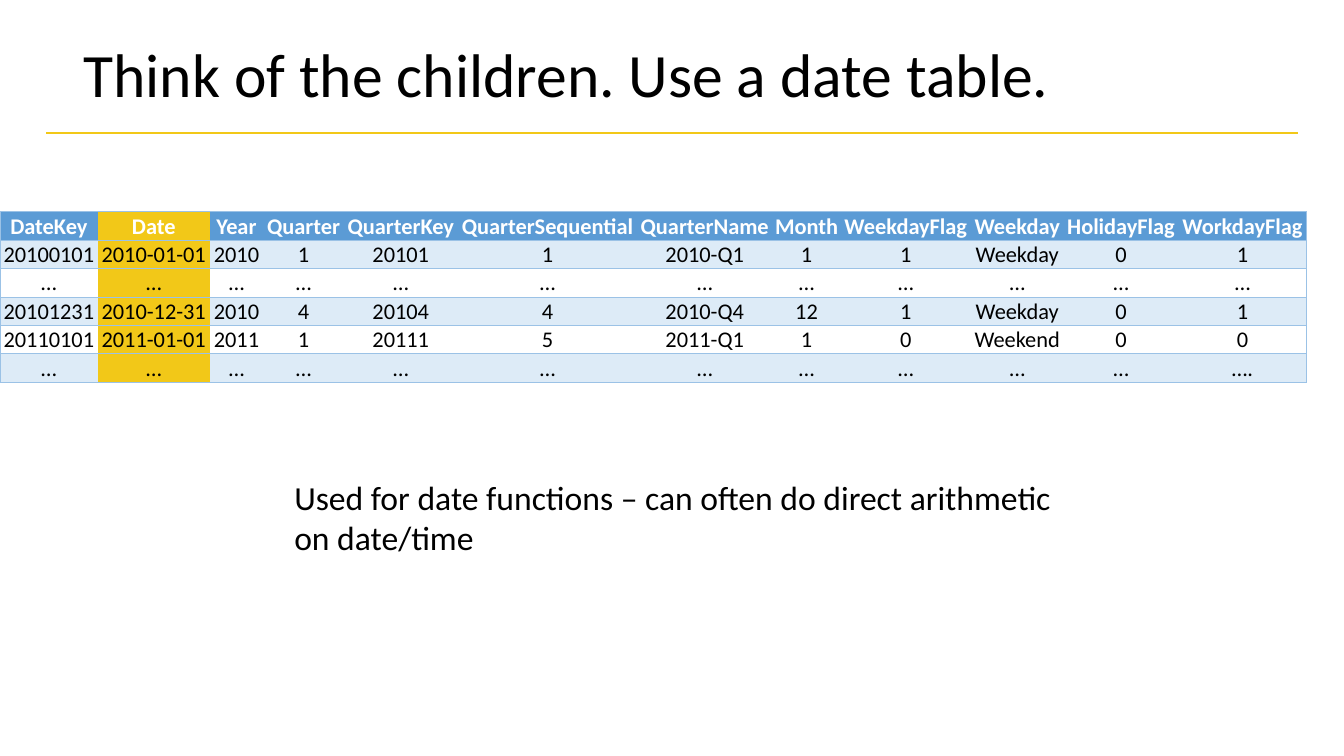
from dataclasses import dataclass

from lxml import etree
from pptx import Presentation, util as u
from pptx.dml.color import RGBColor
from pptx.enum import shapes, text
from pptx.oxml import ns

WIDTH, HEIGHT = u.Inches(13.33), u.Inches(7.5)
FONT = "Calibri"
NO_GRID_STYLE = "{2D5ABB26-0587-4C30-8999-92F81FD0307C}"
COLOURS = {
    "ink": "000000",
    "paper": "FFFFFF",
    "gold": "F2C818",
    "header": "5B9BD5",
    "band": "DDEBF7",
    "border": "9BC2E6",
}


@dataclass(frozen=True)
class Caption:
    """Text with its place in percent of the slide."""
    wording: str
    left: float
    top: float
    width: float
    height: float
    size: int
    anchor: text.MSO_ANCHOR
    line_spacing: float


@dataclass(frozen=True)
class Field:
    """Date table column: width in percent of the slide, values top to bottom."""
    name: str
    width: float
    values: tuple[str, ...]
    highlighted: bool = False


CAPTIONS = (
    Caption("Think of the children. Use a date table.",
            5.48, 2.93, 89.2, 14.67, 44, text.MSO_ANCHOR.MIDDLE, 0.9),
    Caption("Used for date functions – can often do direct arithmetic on date/time",
            21.16, 62.4, 57.76, 12.13, 24, text.MSO_ANCHOR.TOP, 1.0),
)
FIELDS = (
    Field("DateKey", 7.28, ("20100101", "…", "20101231", "20110101", "…")),
    Field("Date", 8.33, ("2010-01-01", "…", "2010-12-31", "2011-01-01", "…"), True),
    Field("Year", 3.98, ("2010", "…", "2010", "2011", "…")),
    Field("Quarter", 6, ("1", "…", "4", "1", "…")),
    Field("QuarterKey", 8.48, ("20101", "…", "20104", "20111", "…")),
    Field("QuarterSequential", 13.35, ("1", "…", "4", "5", "…")),
    Field("QuarterName", 10.05, ("2010-Q1", "…", "2010-Q4", "2011-Q1", "…")),
    Field("Month", 5.1, ("1", "…", "12", "1", "…")),
    Field("WeekdayFlag", 9.68, ("1", "…", "1", "0", "…")),
    Field("Weekday", 6.9, ("Weekday", "…", "Weekday", "Weekend", "…")),
    Field("HolidayFlag", 8.55, ("0", "…", "0", "0", "…")),
    Field("WorkdayFlag", 9.53, ("1", "…", "1", "0", "….")),
)


def across(percent: float) -> int:
    return round(WIDTH * percent / 100)


def down(percent: float) -> int:
    return round(HEIGHT * percent / 100)


def rgb(colour: str) -> RGBColor:
    return RGBColor.from_string(COLOURS[colour])


def style_font(font, size: int, colour: str, bold: bool = False) -> None:
    font.name, font.size, font.bold = FONT, u.Pt(size), bold
    font.color.rgb = rgb(colour)


def add_caption(slide, caption: Caption) -> None:
    frame = slide.shapes.add_textbox(
        across(caption.left), down(caption.top),
        across(caption.width), down(caption.height)).text_frame
    frame.word_wrap = True
    frame.vertical_anchor = caption.anchor
    paragraph = frame.paragraphs[0]
    paragraph.text = caption.wording
    paragraph.line_spacing = caption.line_spacing
    style_font(paragraph.font, caption.size, "ink")


def add_title_rule(slide) -> None:
    rule = slide.shapes.add_connector(
        shapes.MSO_CONNECTOR.STRAIGHT,
        across(3.45), down(17.6), across(96.55), down(17.6))
    rule.line.color.rgb = rgb("gold")
    rule.line.width = u.Pt(2)
    etree.SubElement(rule._element.spPr, ns.qn("a:effectLst"))


def add_borders(cell, sides: str) -> None:
    """Draw thin borders; sides holds letters in the order L, R, T, B."""
    properties = cell._tc.get_or_add_tcPr()
    for position, side in enumerate(sides):
        border = etree.Element(ns.qn(f"a:ln{side}"), w=str(u.Pt(0.5)))
        fill = etree.SubElement(border, ns.qn("a:solidFill"))
        etree.SubElement(fill, ns.qn("a:srgbClr"), val=COLOURS["border"])
        properties.insert(position, border)


def fill_cell(cell, wording: str, fill: str, is_header: bool) -> None:
    cell.margin_left = cell.margin_right = cell.margin_top = u.Inches(0.01)
    cell.margin_bottom = 0
    cell.vertical_anchor = text.MSO_ANCHOR.BOTTOM
    cell.fill.solid()
    cell.fill.fore_color.rgb = rgb(fill)
    paragraph = cell.text_frame.paragraphs[0]
    paragraph.text = wording
    paragraph.alignment = text.PP_ALIGN.CENTER
    style_font(paragraph.font, 16, "paper" if is_header else "ink", is_header)


def add_date_table(slide) -> None:
    row_count = 1 + len(FIELDS[0].values)
    frame = slide.shapes.add_table(
        row_count, len(FIELDS), 0, down(28),
        across(sum(field.width for field in FIELDS)), down(22.13))
    table = frame.table
    table._tbl.tblPr.find(ns.qn("a:tableStyleId")).text = NO_GRID_STYLE
    for row in table.rows:
        row.height = down(2.8)
    frame.height = down(22.13)

    row_fills = ["header"] + ["band", "paper"] * (row_count // 2)
    for column, field in enumerate(FIELDS):
        table.columns[column].width = across(field.width)
        outer_side = {0: "L", len(FIELDS) - 1: "R"}.get(column, "")
        for row, wording in enumerate((field.name, *field.values)):
            cell = table.cell(row, column)
            fill = "gold" if field.highlighted else row_fills[row]
            fill_cell(cell, wording, fill, row == 0)
            add_borders(cell, outer_side + "TB")


def main() -> None:
    deck = Presentation()
    deck.slide_width, deck.slide_height = WIDTH, HEIGHT
    slide = deck.slides.add_slide(deck.slide_layouts[6])
    add_title_rule(slide)
    add_date_table(slide)
    for caption in CAPTIONS:
        add_caption(slide, caption)
    deck.save("out.pptx")


if __name__ == "__main__":
    main()
